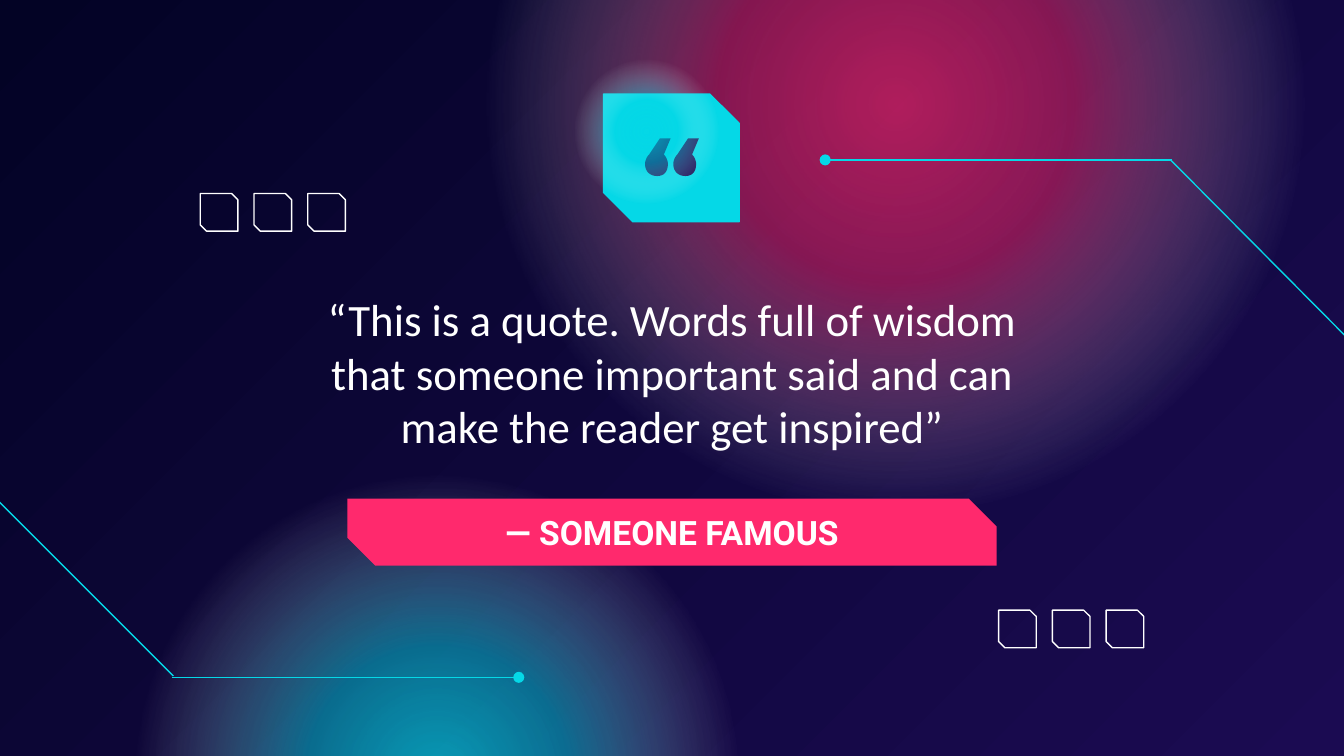
"""Build a quote slide with glowing circles, snipped frames and circuit lines."""
from lxml import etree
from pptx import Presentation
from pptx.dml.color import RGBColor
from pptx.enum.shapes import MSO_CONNECTOR, MSO_SHAPE
from pptx.enum.text import MSO_ANCHOR, PP_ALIGN
from pptx.oxml import parse_xml
from pptx.oxml.ns import nsdecls, qn
from pptx.util import Inches, Pt

ELLIPSE = MSO_SHAPE.OVAL
SNIPPED = MSO_SHAPE.SNIP_2_DIAG_RECTANGLE
STRAIGHT = MSO_CONNECTOR.STRAIGHT
CENTER = PP_ALIGN.CENTER
TOP, MIDDLE = MSO_ANCHOR.TOP, MSO_ANCHOR.MIDDLE

NAVY = RGBColor(0x03, 0x03, 0x25)
PURPLE = RGBColor(0x1B, 0x0B, 0x52)
PINK = RGBColor(0xFF, 0x29, 0x6D)
CYAN = RGBColor(0x05, 0xD8, 0xE7)
WHITE = RGBColor(0xFF, 0xFF, 0xFF)

SLIDE_WIDTH = 10
QUOTE_START = (0.11, 0)
QUOTE_NECK = (0.03, 0.12)
QUOTE_CURVES = [
    ((0.01, 0.14), (0, 0.17), (0, 0.19)),
    ((0, 0.25), (0.04, 0.28), (0.09, 0.28)),
    ((0.14, 0.28), (0.17, 0.25), (0.17, 0.19)),
    ((0.17, 0.17), (0.16, 0.14), (0.14, 0.12)),
]
QUOTE_END = (0.19, 0)
CURVE_STEPS = 8


def curve_points(start, first, second, end):
    """Return points along a cubic curve, without its start."""
    points = []
    for step in range(1, CURVE_STEPS + 1):
        t = step / CURVE_STEPS
        weights = ((1 - t) ** 3, 3 * t * (1 - t) ** 2, 3 * t * t * (1 - t), t ** 3)
        corners = (start, first, second, end)
        points.append(tuple(sum(w * corner[axis] for w, corner in zip(weights, corners))
                            for axis in (0, 1)))
    return points


def quote_outline():
    """Return the points of one quotation mark."""
    points = [QUOTE_START, QUOTE_NECK]
    for curve in QUOTE_CURVES:
        points += curve_points(points[-1], *curve)
    return points + [QUOTE_END]


def centered(width):
    """Return the left edge that centres a width on the slide."""
    return (SLIDE_WIDTH - width) / 2


class SlideBuilder:
    """Holds the line style and the current slide, and draws each kind of element."""

    line_width = Pt(0.75)
    inset = Inches(0.1)

    def __init__(self, slide):
        self.slide = slide

    def background(self, start, end):
        fill = self.slide.background.fill
        fill.gradient()
        fill.gradient_angle = 315
        for stop, color in zip(fill.gradient_stops, (start, end)):
            stop.color.rgb = color

    def paint(self, shape, fill=None, line=None):
        shape.shadow.inherit = False
        if fill is None:
            shape.fill.background()
        else:
            shape.fill.solid()
            shape.fill.fore_color.rgb = fill
        if line is None:
            shape.line.fill.background()
        else:
            shape.line.color.rgb = line
            shape.line.width = self.line_width

    def glow(self, left, top, size, color, center_alpha, middle_alpha):
        shape = self.slide.shapes.add_shape(
            ELLIPSE, Inches(left), Inches(top), Inches(size), Inches(size))
        self.paint(shape, fill=color)
        stops = [(0, color, center_alpha), (30, color, middle_alpha),
                 (69, WHITE, 0), (100, WHITE, 0)]
        stops_xml = "".join(
            f'<a:gs pos="{position * 1000}"><a:srgbClr val="{stop_color}">'
            f'<a:alpha val="{alpha * 1000}"/></a:srgbClr></a:gs>'
            for position, stop_color, alpha in stops)
        gradient = parse_xml(
            f'<a:gradFill {nsdecls("a")}><a:gsLst>{stops_xml}</a:gsLst><a:path path="circle">'
            '<a:fillToRect l="50000" t="50000" r="50000" b="50000"/></a:path></a:gradFill>')
        properties = shape._element.spPr
        properties.replace(properties.find(qn("a:solidFill")), gradient)

    def line(self, start, end, dot=False):
        connector = self.slide.shapes.add_connector(
            STRAIGHT, *(Inches(value) for value in start + end))
        connector.line.color.rgb = CYAN
        connector.line.width = self.line_width
        properties = connector._element.spPr
        if dot:
            etree.SubElement(properties.find(qn("a:ln")), qn("a:tailEnd"), type="oval")
        etree.SubElement(properties, qn("a:effectLst"))

    def snipped(self, left, top, width, height, snip, fill=None, line=None):
        shape = self.slide.shapes.add_shape(
            SNIPPED, Inches(left), Inches(top), Inches(width), Inches(height))
        shape.adjustments[0] = 0
        shape.adjustments[1] = snip
        self.paint(shape, fill, line)

    def frame_row(self, left, top):
        for index in range(3):
            self.snipped(left + 0.4 * index, top, 0.28, 0.28, 0.167, line=WHITE)

    def quote_marks(self, left, top, pitch, color):
        outlines = [[(Inches(left + offset + x), Inches(top + y)) for x, y in quote_outline()]
                    for offset in (0, pitch)]
        builder = self.slide.shapes.build_freeform(*outlines[0][0], scale=1.0)
        builder.add_line_segments(outlines[0][1:], close=True)
        builder.move_to(*outlines[1][0])
        builder.add_line_segments(outlines[1][1:], close=True)
        self.paint(builder.convert_to_shape(), fill=color)

    def text(self, top, width, height, content, font_name, size, anchor, bold=False):
        box = self.slide.shapes.add_textbox(
            Inches(centered(width)), Inches(top), Inches(width), Inches(height))
        frame = box.text_frame
        frame.word_wrap = True
        frame.vertical_anchor = anchor
        frame.margin_left = frame.margin_right = self.inset
        frame.margin_top = frame.margin_bottom = self.inset
        frame.text = content
        paragraph = frame.paragraphs[0]
        paragraph.alignment = CENTER
        font = paragraph.runs[0].font
        font.name = font_name
        font.size = Pt(size)
        font.bold = bold
        font.color.rgb = WHITE


def main():
    presentation = Presentation()
    presentation.slide_width = Inches(SLIDE_WIDTH)
    presentation.slide_height = Inches(SLIDE_WIDTH * 9 / 16)
    builder = SlideBuilder(presentation.slides.add_slide(presentation.slide_layouts[6]))

    builder.background(NAVY, PURPLE)
    builder.glow(3.54, -2.35, 6.25, PINK, 67, 49)
    builder.glow(0.95, 3.48, 4.6, CYAN, 71, 48)

    builder.line((10.03, 2.52), (8.71, 1.19))
    builder.line((8.72, 1.19), (6.14, 1.19), dot=True)
    builder.line((-0.03, 3.71), (1.29, 5.03))
    builder.line((1.28, 5.04), (3.86, 5.04), dot=True)

    builder.snipped(centered(4.83), 3.71, 4.83, 0.5, 0.415, fill=PINK)
    builder.text(3.71, 2.92, 0.5, "— SOMEONE FAMOUS", "Roboto", 18, MIDDLE, bold=True)
    builder.text(2.07, 5.43, 1.41,
                 "“This is a quote. Words full of wisdom that someone important said "
                 "and can make the reader get inspired”", "Calibri", 24, TOP)

    builder.snipped(4.49, 0.7, 1.01, 0.95, 0.23, fill=CYAN, line=CYAN)
    builder.quote_marks(4.8, 1.03, 0.21, PURPLE)
    builder.glow(4.26, 0.43, 1.1, CYAN, 71, 48)

    builder.frame_row(1.49, 1.44)
    builder.frame_row(7.43, 4.54)
    presentation.save("out.pptx")


if __name__ == "__main__":
    main()
